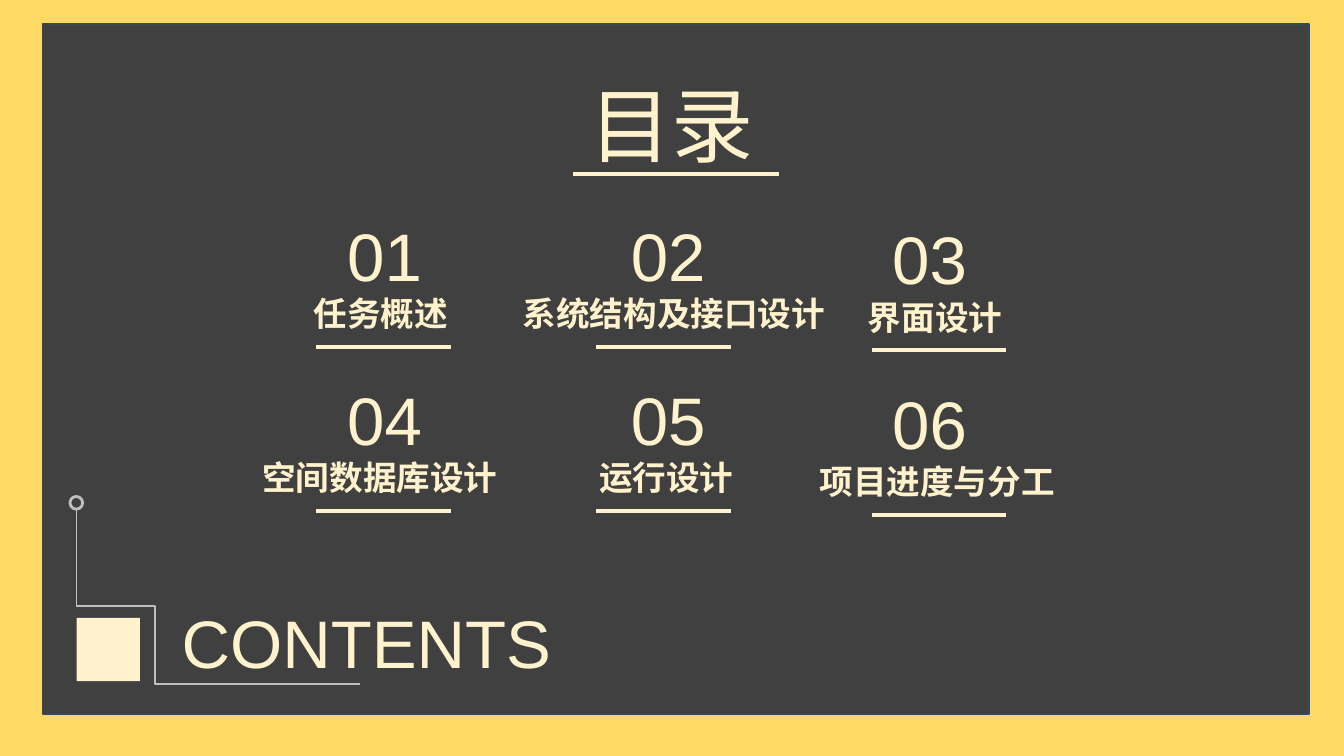
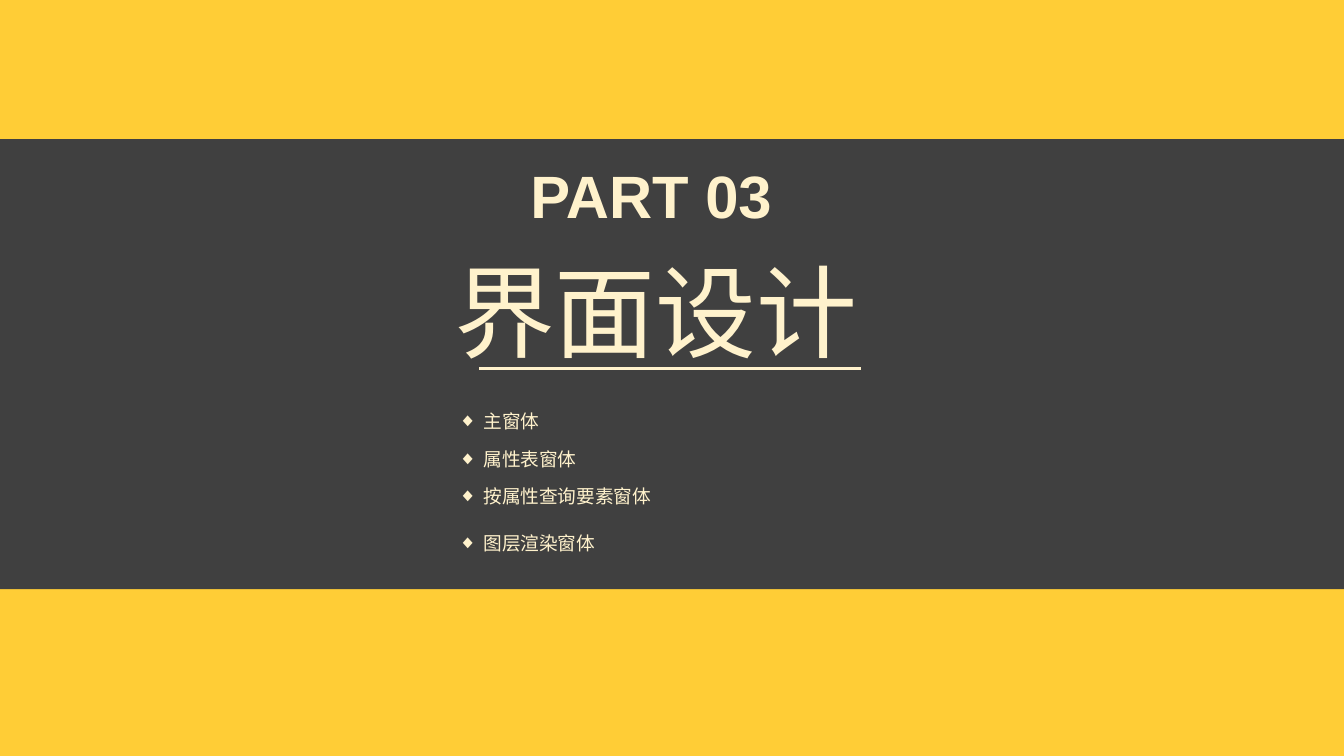
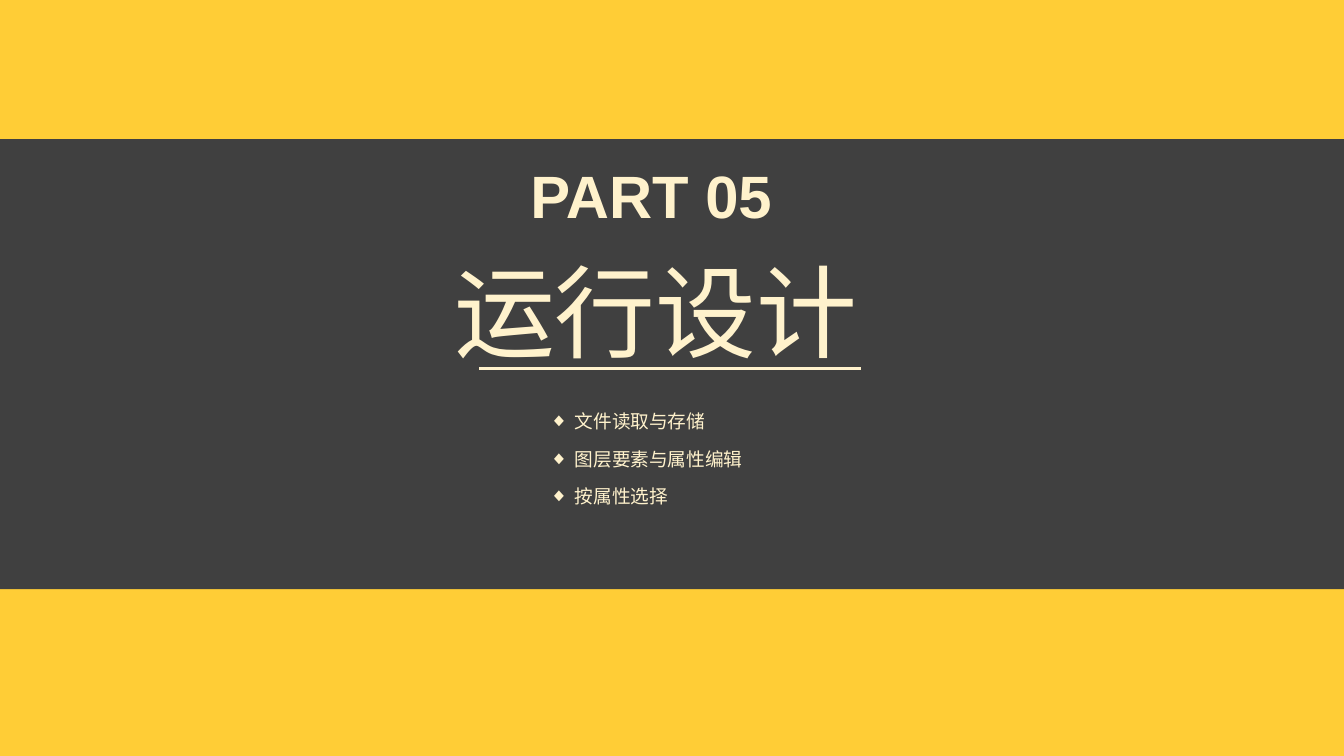
from dataclasses import dataclass

from lxml import etree
from pptx import Presentation
from pptx.dml.color import RGBColor
from pptx.enum.shapes import MSO_CONNECTOR as CONN, MSO_SHAPE as SHAPE
from pptx.enum.text import MSO_ANCHOR as ANCHOR, MSO_AUTO_SIZE as AUTO, PP_ALIGN as ALIGN
from pptx.oxml.ns import qn
from pptx.util import Pt


@dataclass(frozen=True)
class Theme:
    font: str = "Arial"
    panel: str = "404040"
    panel_edge: str = "33495D"
    cream: str = "FFF2CC"
    gray: str = "BFBFBF"
    sand: str = "FFD966"
    amber: str = "FFC000"
    amber_alpha: int = 79
    section_title: int = 54
    contents_title: int = 44
    number: int = 36
    kicker: int = 32
    label: int = 18
    item: int = 10


T = Theme()
WIDTH, HEIGHT = 720, 405
TITLE_ONLY, TITLE_AND_BODY = 5, 1
DISPLAY_INSETS = (4.3, 2.2)
LABEL_INSETS = (5, 2.9)

# number x, rule x and downward shift of each column
COLUMNS = ((168, 169.5, 0), (320, 319.5, 0), (460, 467, 2))
# label and its x, row by row
CONTENTS = (
    (("任务概述", 163), ("系统结构及接口设计", 275), ("界面设计", 460)),
    (("空间数据库设计", 135.5), ("运行设计", 316), ("项目进度与分工", 434)),
)
ROW_PITCH = 88

# kicker, title, list x, items with the space before each
SECTIONS = (
    ("PART 03", "界面设计", 238.3,
     (("主窗体", 0), ("属性表窗体", 0), ("按属性查询要素窗体", 0), ("图层渲染窗体", 5))),
    ("PART 05", "运行设计", 287.3,
     (("文件读取与存储", 0), ("图层要素与属性编辑", 0), ("按属性选择", 0))),
)


def rgb(color):
    return RGBColor.from_string(color)


def place(sp, x, y, w, h):
    sp.left, sp.top, sp.width, sp.height = Pt(x), Pt(y), Pt(w), Pt(h)


def style_runs(p, size, bold=False):
    for r in p.runs:
        r.font.name = T.font
        r.font.size = Pt(size)
        r.font.bold = bold
        r.font.color.rgb = rgb(T.cream)
        ea = etree.SubElement(r.font._element, qn("a:ea"))
        ea.set("typeface", T.font)


def set_frame(tf, insets, anchor, wrap=True):
    tf.margin_left = tf.margin_right = Pt(insets[0])
    tf.margin_top = tf.margin_bottom = Pt(insets[1])
    tf.vertical_anchor = anchor
    tf.word_wrap = wrap


def set_display(sp, text, size, bold=False):
    """Fill a shape with one large centred line."""
    tf = sp.text_frame
    set_frame(tf, DISPLAY_INSETS, ANCHOR.MIDDLE)
    tf.auto_size = AUTO.SHAPE_TO_FIT_TEXT
    tf.text = text
    p = tf.paragraphs[0]
    p.alignment = ALIGN.CENTER
    p.line_spacing = 1.3
    style_runs(p, size, bold)


def add_display(s, text, x, y, w, h, size, bold=False):
    sp = s.shapes.add_textbox(Pt(x), Pt(y), Pt(w), Pt(h))
    set_display(sp, text, size, bold)


def set_title(s, text, x, y, w, h, size):
    sp = s.shapes.title
    s.shapes._spTree.append(sp._element)  # bring in front of the panels
    place(sp, x, y, w, h)
    set_display(sp, text, size)


def add_label(s, text, x, y):
    width = T.label * len(text) + 2 * LABEL_INSETS[0] + 1
    tf = s.shapes.add_textbox(Pt(x), Pt(y), Pt(width), Pt(27.4)).text_frame
    set_frame(tf, LABEL_INSETS, ANCHOR.TOP, wrap=False)
    tf.text = text
    style_runs(tf.paragraphs[0], T.label, bold=True)


def add_shape(shapes, kind, x, y, w, h, fill=None, line=None, weight=1):
    sp = shapes.add_shape(kind, Pt(x), Pt(y), Pt(w), Pt(h))
    paint(sp, fill, line, weight)
    return sp


def paint(sp, fill, line, weight=1):
    sp.shadow.inherit = False
    if fill:
        sp.fill.solid()
        sp.fill.fore_color.rgb = rgb(fill)
    else:
        sp.fill.background()
    if line:
        sp.line.color.rgb = rgb(line)
        sp.line.width = Pt(weight)
    else:
        sp.line.fill.background()


def add_rule(s, x, y, w, weight=2.25):
    c = s.shapes.add_connector(CONN.STRAIGHT, Pt(x), Pt(y), Pt(x + w), Pt(y))
    c.line.color.rgb = rgb(T.cream)
    c.line.width = Pt(weight)
    etree.SubElement(c._element.spPr, qn("a:effectLst"))


def add_entry(s, number, label, label_x, number_x, rule_x, y):
    add_display(s, number, number_x, y, 76, 54.7, T.number)
    add_label(s, label, label_x, y + 51.5)
    add_rule(s, rule_x, y + 83.3, 72)


def add_corner_mark(s, x, y):
    """Draw the square, its stepped line and the ring at the line's end."""
    shapes = s.shapes.add_group_shape().shapes
    add_shape(shapes, SHAPE.RECTANGLE, x, y + 59, 34, 34, fill=T.cream)
    steps = ((0, 52.5), (42, 52.5), (42, 94.5), (152, 94.5))
    outline = shapes.build_freeform(Pt(x), Pt(y))
    outline.add_line_segments([(Pt(x + dx), Pt(y + dy)) for dx, dy in steps], close=False)
    paint(outline.convert_to_shape(), None, T.gray)
    add_shape(shapes, SHAPE.OVAL, x - 3.5, y - 6, 6.8, 6.8, line=T.gray, weight=1.5)


def add_bullets(s, items, x, y):
    sp = s.placeholders[1]
    s.shapes._spTree.append(sp._element)
    place(sp, x, y, 274, 90)
    tf = sp.text_frame
    set_frame(tf, (7.2, 0), ANCHOR.TOP)
    tf.auto_size = AUTO.NONE
    for i, (text, gap) in enumerate(items):
        p = tf.add_paragraph() if i else tf.paragraphs[0]
        p.text = text
        pPr = p._p.get_or_add_pPr()
        pPr.set("marL", str(Pt(13.5)))
        pPr.set("indent", str(-Pt(13.5)))
        etree.SubElement(pPr, qn("a:buFont")).set("typeface", T.font)
        etree.SubElement(pPr, qn("a:buChar")).set("char", "◆")
        p.alignment = ALIGN.LEFT
        p.line_spacing = Pt(20)
        p.space_before = Pt(gap)
        p.space_after = Pt(0)
        style_runs(p, T.item)


def add_contents_slide(prs):
    s = prs.slides.add_slide(prs.slide_layouts[TITLE_ONLY])
    s.background.fill.solid()
    s.background.fill.fore_color.rgb = rgb(T.sand)
    add_shape(s.shapes, SHAPE.RECTANGLE, 22.8, 13, 678.5, 369.5, T.panel, T.panel_edge)
    set_title(s, "目录", 289.5, 24.5, 140.5, 67.7, T.contents_title)
    add_rule(s, 307, 93.3, 110.5)
    for row, entries in enumerate(CONTENTS):
        for col, (label, label_x) in enumerate(entries):
            number_x, rule_x, shift = COLUMNS[col]
            number = f"{row * len(COLUMNS) + col + 1:02d}"
            y = 102.4 + row * ROW_PITCH + shift
            add_entry(s, number, label, label_x, number_x, rule_x, y)
    add_display(s, "CONTENTS", 48, 309, 296.6, 56, T.number)
    add_corner_mark(s, 41, 272)


def add_section_slide(prs, kicker, title, list_x, items):
    s = prs.slides.add_slide(prs.slide_layouts[TITLE_AND_BODY])
    wash = add_shape(s.shapes, SHAPE.RECTANGLE, 0, 0, WIDTH, HEIGHT, T.amber)
    color = wash._element.spPr.find(qn("a:solidFill"))[0]
    etree.SubElement(color, qn("a:alpha")).set("val", str(T.amber_alpha * 1000))
    band_y = 74.6
    add_shape(s.shapes, SHAPE.RECTANGLE, 0, band_y, WIDTH, 241, T.panel)
    set_title(s, title, 224.6, band_y + 40.8, 253.4, 81.6, T.section_title)
    add_display(s, kicker, 204.5, band_y - 1.2, 288.7, 50.4, T.kicker, bold=True)
    add_rule(s, 256.8, band_y + 122.7, 204.5, weight=1.5)
    add_bullets(s, items, list_x, band_y + 137.2)


def main():
    prs = Presentation()
    prs.slide_width, prs.slide_height = Pt(WIDTH), Pt(HEIGHT)
    add_contents_slide(prs)
    for section in SECTIONS:
        add_section_slide(prs, *section)
    prs.save("out.pptx")


if __name__ == "__main__":
    main()
